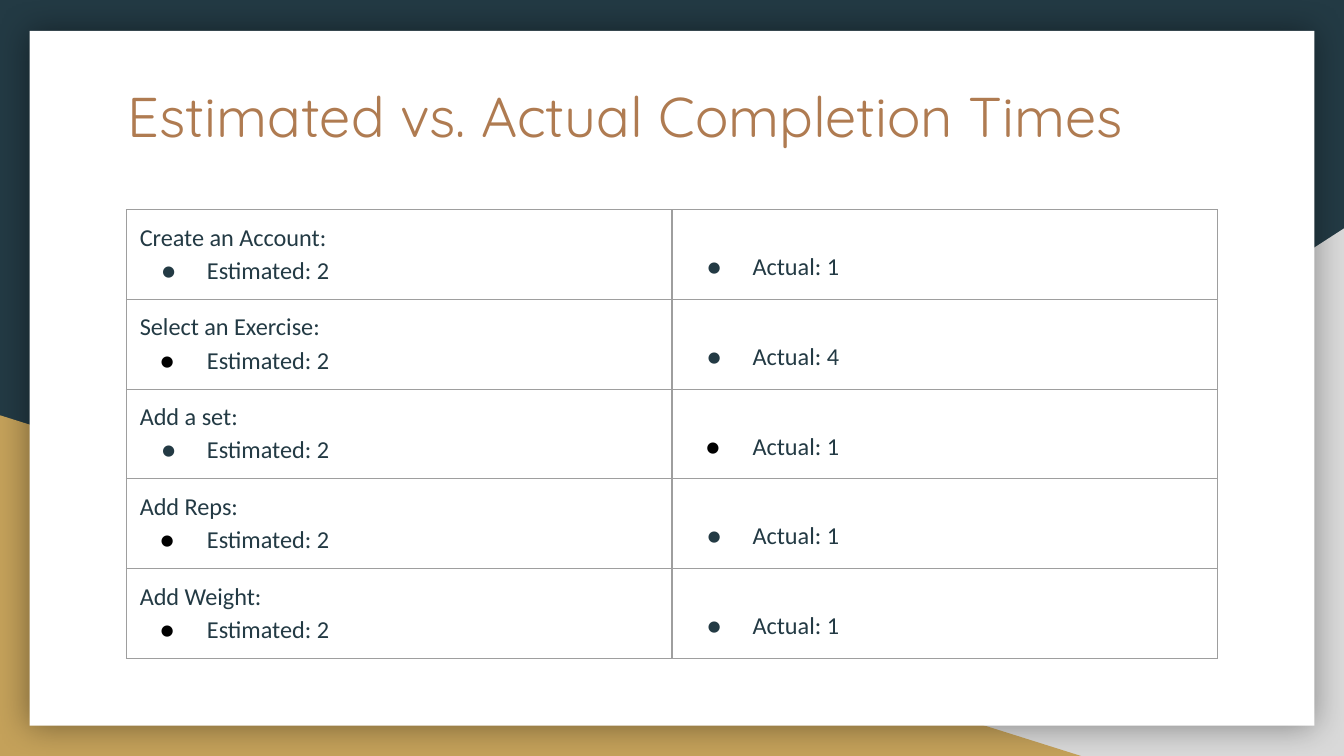
from lxml import etree
from pptx import Presentation
from pptx.dml.color import RGBColor
from pptx.enum.shapes import MSO_SHAPE
from pptx.enum.text import MSO_ANCHOR
from pptx.oxml.ns import qn
from pptx.util import Inches, Pt

RECT = MSO_SHAPE.RECTANGLE
WEDGE = MSO_SHAPE.RIGHT_TRIANGLE
TOP = MSO_ANCHOR.TOP

HUES = {
    "navy": "233A44",
    "gray": "D9D9D9",
    "gold": "C4A15A",
    "white": "FFFFFF",
    "brown": "AF7B51",
    "rule": "9E9E9E",
    "black": "000000",
}

TASKS = [
    ("Create an Account:", 2, 1, "navy", "navy"),
    ("Select an Exercise:", 2, 4, "black", "navy"),
    ("Add a set:", 2, 1, "navy", "black"),
    ("Add Reps:", 2, 1, "black", "navy"),
    ("Add Weight:", 2, 1, "black", "navy"),
]


def rgb(name):
    return RGBColor.from_string(HUES[name])


def node(base, tag, **attrs):
    item = etree.SubElement(base, qn(tag))
    for key, value in attrs.items():
        item.set(key, str(value))
    return item


def add_shape(slide, kind, box, hue, flip=False):
    shape = slide.shapes.add_shape(kind, *map(Inches, box))
    shape.shadow.inherit = False
    shape.fill.solid()
    shape.fill.fore_color.rgb = rgb(hue)
    shape.line.fill.background()
    if flip:
        shape._element.spPr.find(qn("a:xfrm")).set("flipH", "1")
    return shape


def add_glow(shape, blur, alpha):
    effect = shape._element.spPr.find(qn("a:effectLst"))
    glow = node(effect, "a:outerShdw", blurRad=Pt(blur), dist=0, dir=0,
                algn="ctr", rotWithShape=0)
    color = node(glow, "a:srgbClr", val=HUES["black"])
    node(color, "a:alpha", val=alpha * 1000)


def add_text(para, text, size=13, font="Calibri", hue="navy",
             before=0, bullet=None):
    run = para.add_run()
    run.text = text
    run.font.size = Pt(size)
    run.font.name = font
    run.font.color.rgb = rgb(hue)
    para.space_before = Pt(before)
    if bullet:
        props = para._p.get_or_add_pPr()
        indent = 0.35 if bullet == "black" else 0.34
        props.set("marL", str(Inches(0.5)))
        props.set("indent", str(-Inches(indent)))
        color = node(props, "a:buClr")
        node(color, "a:srgbClr", val=HUES[bullet])
        node(props, "a:buFont", typeface=font)
        node(props, "a:buChar", char="●")


def set_pad(item, top=0.1):
    item.margin_left = item.margin_right = item.margin_bottom = Inches(0.1)
    item.margin_top = Inches(top)
    item.vertical_anchor = TOP


def style_cell(cell, top=0.1):
    set_pad(cell, top)
    props = cell._tc.get_or_add_tcPr()
    for side in ("L", "R", "T", "B"):
        line = node(props, f"a:ln{side}", w=Pt(0.75))
        fill = node(line, "a:solidFill")
        node(fill, "a:srgbClr", val=HUES["rule"])
    cell.fill.background()


def add_title(slide, text):
    box = slide.shapes.add_textbox(*map(Inches, (0.85, 0.51, 8.21, 1.04)))
    frame = box.text_frame
    frame.word_wrap = True
    set_pad(frame)
    add_text(frame.paragraphs[0], text, size=30, font="Quicksand", hue="brown")


def add_grid(slide, tasks):
    area = map(Inches, (0.94, 1.56, 8.12, 3.34))
    grid = slide.shapes.add_table(len(tasks), 2, *area).table
    grid.first_row = grid.horz_banding = False
    for i, (name, guess, real, left_dot, right_dot) in enumerate(tasks):
        left, right = grid.cell(i, 0), grid.cell(i, 1)
        style_cell(left)
        style_cell(right, top=0.32)
        frame = left.text_frame
        add_text(frame.paragraphs[0], name)
        add_text(frame.add_paragraph(), f"Estimated: {guess}",
                 before=2, bullet=left_dot)
        add_text(right.text_frame.paragraphs[0], f"Actual: {real}",
                 bullet=right_dot)


def main():
    deck = Presentation()
    deck.slide_width = Inches(10)
    deck.slide_height = deck.slide_width * 9 // 16
    slide = deck.slides.add_slide(deck.slide_layouts[6])
    slide.background.fill.solid()
    slide.background.fill.fore_color.rgb = rgb("navy")
    add_shape(slide, WEDGE, (3.92, 1.7, 6.08, 3.93), "gray", flip=True)
    add_shape(slide, WEDGE, (0, 3.09, 8.06, 2.54), "gold")
    card = add_shape(slide, RECT, (0.22, 0.23, 9.56, 5.17), "white")
    add_glow(card, blur=18, alpha=40)
    add_title(slide, "Estimated vs. Actual Completion Times")
    add_grid(slide, TASKS)
    deck.save("out.pptx")


if __name__ == "__main__":
    main()
